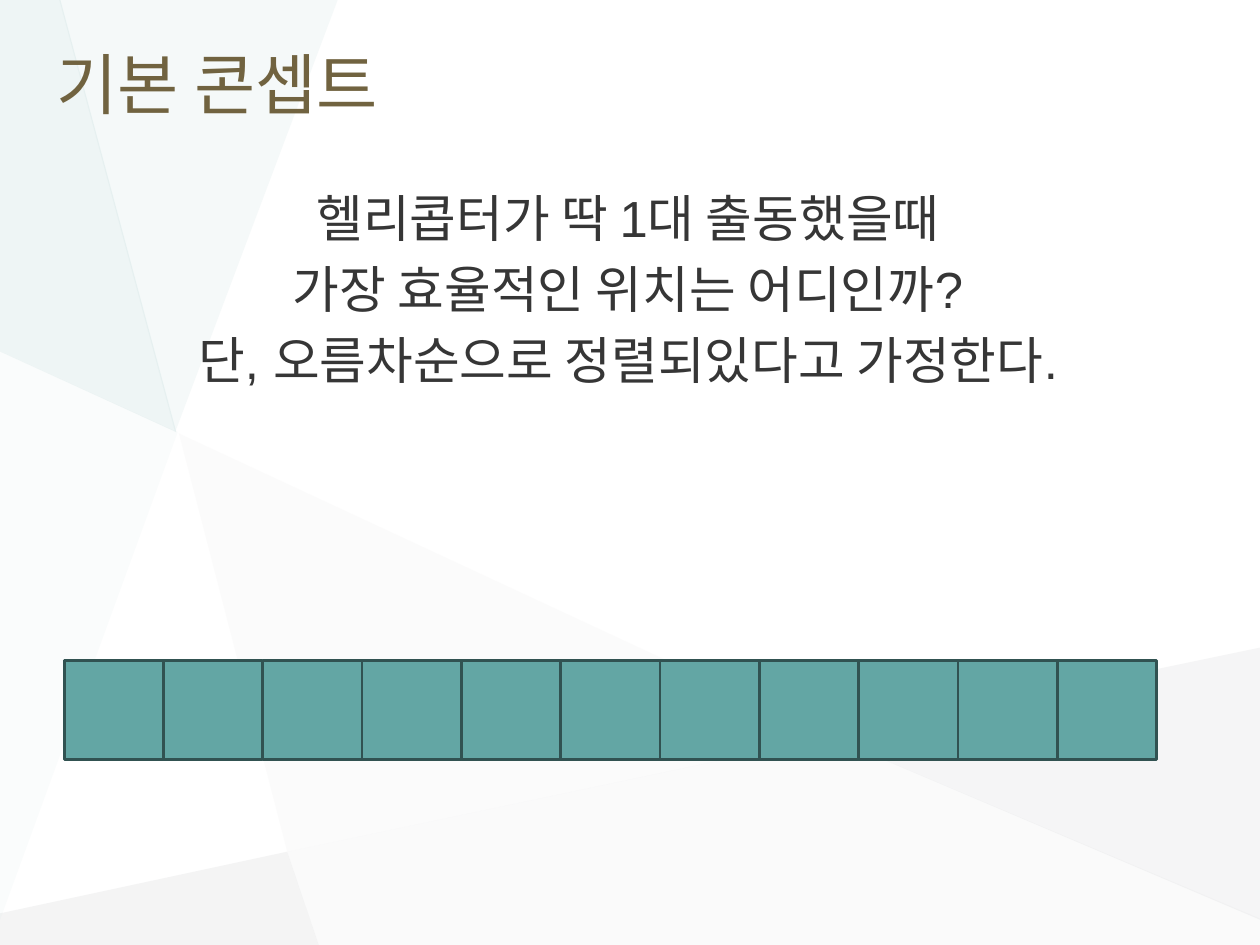
from dataclasses import dataclass

from lxml.etree import SubElement
from pptx import Presentation
from pptx.dml.color import RGBColor
from pptx.enum.shapes import MSO_SHAPE as Shape
from pptx.enum.text import MSO_ANCHOR as Anchor, MSO_AUTO_SIZE as AutoSize, PP_ALIGN as Align
from pptx.oxml.ns import qn
from pptx.util import Inches, Pt


@dataclass(frozen=True)
class Theme:
    font: str = "Arial"
    title_size: float = 38
    body_size: float = 29
    title: str = "716340"
    body: str = "363636"
    cell: str = "63A6A4"
    cell_line: str = "315251"


THEME = Theme()

# Background facets: colour, opacity in percent, corners in inches
FACETS = [
    ("F3F2F2", 26, [(1.42, 3.44), (2.28, 6.76), (6.6, 5.85)]),
    ("B6B8BA", 15, [(2.28, 6.76), (0, 7.25), (0, 7.5), (2.53, 7.5)]),
    ("E0EDED", 31, [(2.68, 0), (0.47, 0), (1.39, 3.43)]),
    ("C6C8CA", 17, [(10, 5.14), (6.59, 5.85), (10, 7.3)]),
    ("B6B8BA", 6, [(6.59, 5.85), (2.28, 6.76), (2.53, 7.5), (10, 7.5), (10, 7.29)]),
    ("C1DBDB", 27, [(0.48, 0), (0, 0), (0, 2.79), (1.4, 3.43)]),
    ("C1DBDB", 8, [(0, 2.79), (0, 7.3), (1.41, 3.43)]),
]

QUESTION = [
    "헬리콥터가 딱 1대 출동했을때",
    "가장 효율적인 위치는 어디인까?",
    "단, 오름차순으로 정렬되있다고 가정한다.",
]

CELL_COUNT = 11
ROW_LEFT, ROW_TOP, ROW_WIDTH = 0.51, 5.24, 8.67


def place(shape, left, top, width, height):
    shape.left, shape.top = Inches(left), Inches(top)
    shape.width, shape.height = Inches(width), Inches(height)


def style_font(font, size, color):
    font.name = THEME.font
    font.size = Pt(size)
    font.color.rgb = RGBColor.from_string(color)


def add_facet(page, color, opacity, corners):
    points = [(Inches(x), Inches(y)) for x, y in corners]
    builder = page.shapes.build_freeform(*points[0])
    builder.add_line_segments(points[1:], close=True)
    facet = builder.convert_to_shape()
    facet.shadow.inherit = False
    facet.line.fill.background()
    facet.fill.solid()
    facet.fill.fore_color.rgb = RGBColor.from_string(color)
    tint = facet._element.spPr.find(qn("a:solidFill"))[0]
    SubElement(tint, qn("a:alpha"), val=str(opacity * 1000))


def fill_title(title, text):
    place(title, 0.35, 0.14, 9.27, 1.03)
    frame = title.text_frame
    frame.text = text
    frame.auto_size = AutoSize.NONE
    frame.vertical_anchor = Anchor.MIDDLE
    para = frame.paragraphs[0]
    para.alignment = Align.LEFT
    style_font(para.runs[0].font, THEME.title_size, THEME.title)


def fill_body(body, lines):
    place(body, 0.35, 1.43, 9.27, 5.43)
    frame = body.text_frame
    frame.text = "\n".join(lines)
    frame.auto_size = AutoSize.NONE
    for index, para in enumerate(frame.paragraphs):
        para.alignment = Align.CENTER
        para.space_before = Pt(0.2 * THEME.body_size if index else 0)
        properties = para._p.get_or_add_pPr()
        properties.set("marL", "0")
        properties.set("indent", "0")
        SubElement(properties, qn("a:buNone"))
        style_font(para.runs[0].font, THEME.body_size, THEME.body)


def add_cell(page, left, top, side):
    cell = page.shapes.add_shape(
        Shape.RECTANGLE, Inches(left), Inches(top), Inches(side), Inches(side))
    cell.shadow.inherit = False
    cell.fill.solid()
    cell.fill.fore_color.rgb = RGBColor.from_string(THEME.cell)
    cell.line.color.rgb = RGBColor.from_string(THEME.cell_line)
    cell.line.width = Pt(1.5)


def main():
    deck = Presentation()
    deck.slide_width, deck.slide_height = Inches(10), Inches(7.5)
    page = deck.slides.add_slide(deck.slide_layouts[1])
    title, body = page.placeholders

    # Background, kept behind the placeholders
    for facet in FACETS:
        add_facet(page, *facet)
    for holder in (title, body):
        page.shapes._spTree.append(holder._element)

    # Title and question
    fill_title(title, "기본 콘셉트")
    fill_body(body, QUESTION)

    # Row of adjoining positions
    side = ROW_WIDTH / CELL_COUNT
    for index in range(CELL_COUNT):
        add_cell(page, ROW_LEFT + index * side, ROW_TOP, side)

    deck.save("out.pptx")


if __name__ == "__main__":
    main()
